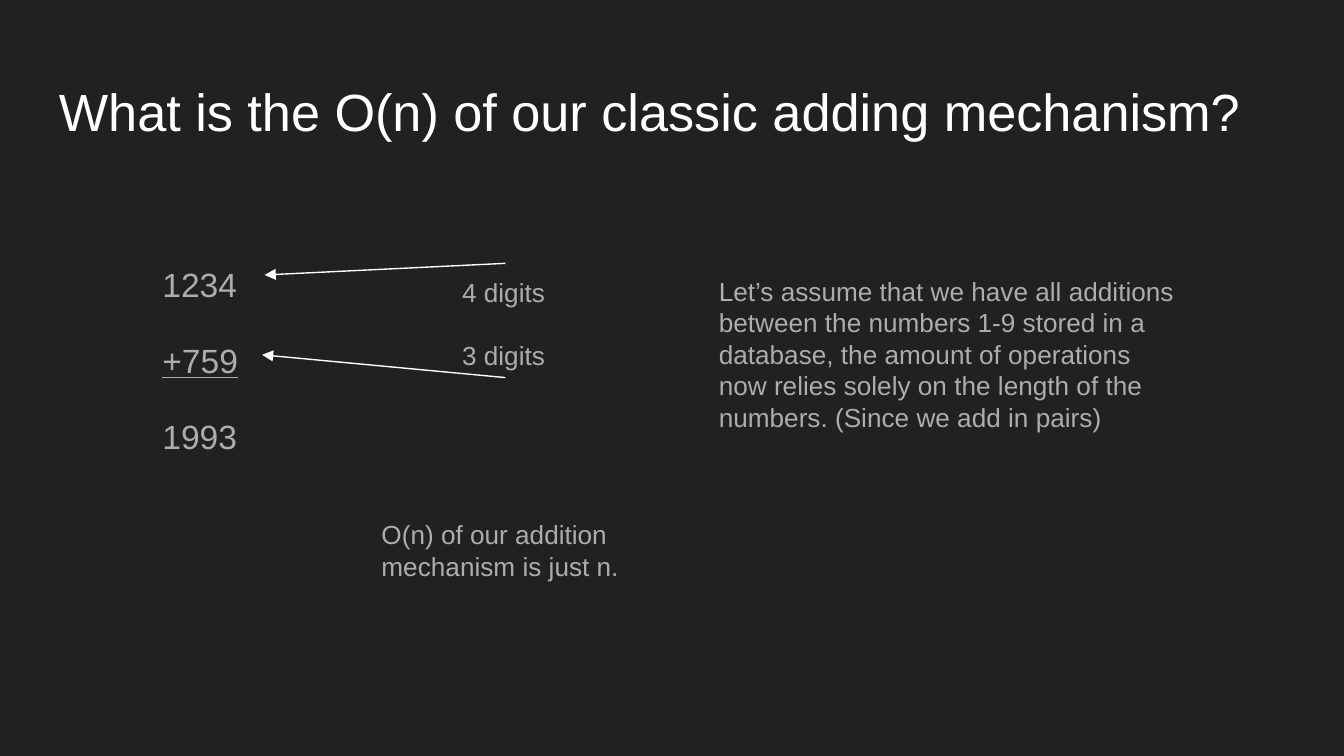
"""Build a slide on the O(n) cost of classic column addition."""
from dataclasses import dataclass

from lxml.etree import SubElement
from pptx import Presentation
from pptx.dml.color import RGBColor
from pptx.enum.shapes import MSO_CONNECTOR as Conn
from pptx.enum.text import MSO_ANCHOR as Anchor
from pptx.oxml.ns import qn
from pptx.slide import Slide
from pptx.util import Pt


@dataclass(frozen=True)
class Theme:
    font: str = "Arial"
    background: str = "212121"
    bright: str = "FFFFFF"
    muted: str = "ADADAD"
    title: float = 28
    sum: float = 18
    note: float = 14
    inset: float = 7.2
    line: float = 0.75


@dataclass(frozen=True)
class Arrow:
    start: tuple[float, float]
    end: tuple[float, float]


@dataclass(frozen=True)
class Note:
    text: str
    box: tuple[float, float, float, float]
    gap: float = 0


THEME = Theme()
SUM_BOX = (79.9, 131, 60.5, 118.8)
NOTES = [
    Note("4 digits\n3 digits", (240.5, 141.1, 60.5, 61.2), gap=16.8),
    Note("Let’s assume that we have all additions between the numbers 1-9 "
         "stored in a database, the amount of operations now relies solely on "
         "the length of the numbers. (Since we add in pairs)",
         (378, 140.4, 263.5, 96.5)),
    Note("O(n) of our addition mechanism is just n.",
         (197.3, 270.7, 146.2, 63.4)),
]
ARROWS = [
    Arrow((270.7, 141.1), (141.8, 147.3)),
    Arrow((270.7, 202.3), (140.4, 190.1)),
]


def add_text(s: Slide, text: str, box: tuple[float, float, float, float], *,
             size: float = THEME.note, color: str = THEME.muted,
             spacing: float = 1.0, gap: float = 0,
             underlined: str = "") -> None:
    """Add a text box with one paragraph for each line of text."""
    tf = s.shapes.add_textbox(*map(Pt, box)).text_frame
    tf.word_wrap = True
    tf.vertical_anchor = Anchor.TOP
    tf.margin_left = tf.margin_right = Pt(THEME.inset)
    tf.margin_top = tf.margin_bottom = Pt(THEME.inset)
    for i, line in enumerate(text.split("\n")):
        p = tf.add_paragraph() if i else tf.paragraphs[0]
        p.line_spacing = spacing
        p.space_before = Pt(gap if i else 0)
        r = p.add_run()
        r.text = line
        r.font.name = THEME.font
        r.font.size = Pt(size)
        r.font.color.rgb = RGBColor.from_string(color)
        r.font.underline = line == underlined


def add_arrow(s: Slide, arrow: Arrow) -> None:
    """Add a straight line with a triangle head at its end."""
    c = s.shapes.add_connector(Conn.STRAIGHT, *map(Pt, arrow.start + arrow.end))
    c.line.width = Pt(THEME.line)
    c.line.color.rgb = RGBColor.from_string(THEME.bright)
    SubElement(c.line._get_or_add_ln(), qn("a:tailEnd"),
               type="triangle", w="med", len="med")
    SubElement(c._element.spPr, qn("a:effectLst"))


def main() -> None:
    """Build and save the presentation."""
    prs = Presentation()
    prs.slide_width, prs.slide_height = Pt(720), Pt(405)
    s = prs.slides.add_slide(prs.slide_layouts[6])
    fill = s.background.fill
    fill.solid()
    fill.fore_color.rgb = RGBColor.from_string(THEME.background)

    add_text(s, "What is the O(n) of our classic adding mechanism?",
             (24.5, 35.3, 671, 45.4), size=THEME.title, color=THEME.bright)
    add_text(s, "1234\n+759\n1993", SUM_BOX, size=THEME.sum, spacing=1.15,
             gap=16, underlined="+759")
    for note in NOTES:
        add_text(s, note.text, note.box, gap=note.gap)
    for arrow in ARROWS:
        add_arrow(s, arrow)
    prs.save("out.pptx")


main()
